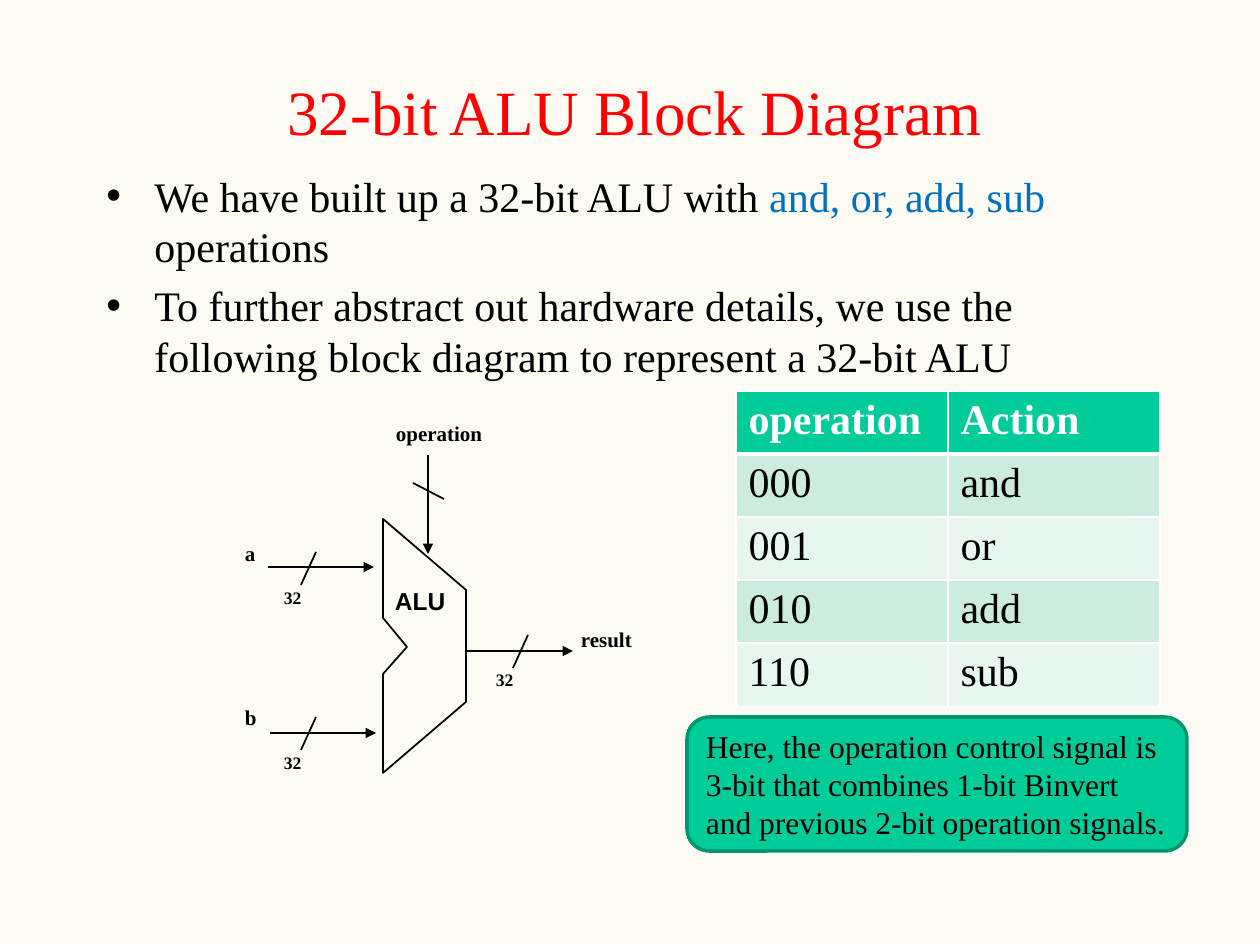
from lxml import etree
from pptx import Presentation
from pptx.dml.color import RGBColor
from pptx.enum.shapes import MSO_CONNECTOR, MSO_SHAPE
from pptx.enum.text import MSO_ANCHOR, PP_ALIGN
from pptx.oxml.ns import qn
from pptx.util import Pt

STRAIGHT = MSO_CONNECTOR.STRAIGHT
ROUNDED = MSO_SHAPE.ROUNDED_RECTANGLE
TOP, MIDDLE = MSO_ANCHOR.TOP, MSO_ANCHOR.MIDDLE
CENTER, LEFT = PP_ALIGN.CENTER, PP_ALIGN.LEFT
PX = 914400 / 126
SERIF, SANS = "Times New Roman", "Arial"
BLACK, WHITE, GREEN = "000000", "FFFFFF", "00CC99"
BANDS = ["CCECDE", "E7F6EF"]

TITLE = "32-bit ALU Block Diagram"
BULLETS = [
    [("We have built up a 32-bit ALU with ", BLACK), ("and, or, add, sub ", "0070C0"),
     ("operations", BLACK)],
    [("To further abstract out hardware details, we use the following block diagram "
      "to represent a 32-bit ALU", BLACK)],
]
NOTE = ("Here, the operation control signal is 3-bit that combines 1-bit Binvert "
        "and previous 2-bit operation signals.")
OPERATIONS = [("operation", "Action"), ("000", "and"), ("001", "or"),
              ("010", "add"), ("110", "sub")]
ALU_OUTLINE = [(383, 519), (383, 618), (407, 647), (383, 674),
               (383, 773), (466, 702), (466, 590)]
SIGNALS = [(270, 733, 376, 733), (467, 651, 573, 651),
           (428, 455, 428, 554), (268, 567, 374, 567)]
SLASHES = [(316, 552, 301, 585), (316, 717, 301, 750),
           (528, 635, 513, 668), (413, 483, 444, 499)]
WIDTH_FORMAT = {"size": 10, "leading": 12}
SIGNAL_FORMAT = {"size": 12, "leading": 18, "gap": 6}
LABELS = [
    ("32", (281, 583, 79, 40), WIDTH_FORMAT),
    ("32", (281, 748, 79, 40), WIDTH_FORMAT),
    ("32", (493, 665, 79, 40), WIDTH_FORMAT),
    ("operation", (393, 410, 159, 73), SIGNAL_FORMAT),
    ("result", (578, 616, 106, 73), SIGNAL_FORMAT),
    ("a", (242, 530, 68, 73), SIGNAL_FORMAT),
    ("b", (242, 694, 68, 73), SIGNAL_FORMAT),
    ("ALU", (392, 583, 96, 45), {"size": 14, "leading": 16, "face": SANS}),
]


def px(*lengths):
    return [round(length * PX) for length in lengths]


def color(value):
    return RGBColor.from_string(value)


def apply(target, values):
    for key, value in values.items():
        setattr(target, key, value)


def add_run(paragraph, words, size, ink=BLACK, bold=False, face=SERIF):
    run = paragraph.add_run()
    run.text = words
    apply(run.font, {"size": Pt(size), "bold": bold, "name": face})
    run.font.color.rgb = color(ink)


def add_frame(box, wrap=True, anchor=TOP):
    frame = slide.shapes.add_textbox(*px(*box)).text_frame
    apply(frame, {"word_wrap": wrap, "vertical_anchor": anchor})
    return frame


def add_bullet(paragraph):
    properties = paragraph._p.get_or_add_pPr()
    indent = px(48)[0]
    properties.set("marL", str(indent))
    properties.set("indent", str(-indent))
    etree.SubElement(properties, qn("a:buFont")).set("typeface", SANS)
    etree.SubElement(properties, qn("a:buChar")).set("char", "•")


def add_wire(ends, arrow):
    wire = slide.shapes.add_connector(STRAIGHT, *px(*ends))
    wire.line.width = Pt(1)
    wire.line.color.rgb = color(BLACK)
    if arrow:
        etree.SubElement(wire.line._ln, qn("a:tailEnd")).set("type", "triangle")
    etree.SubElement(wire._element.spPr, qn("a:effectLst"))


def add_label(words, box, size, leading, gap=0, face=SERIF):
    frame = add_frame(box, wrap=False)
    left, top = px(3, 4)
    apply(frame, {"margin_left": left, "margin_right": left,
                  "margin_top": top, "margin_bottom": top})
    paragraph = frame.paragraphs[0]
    apply(paragraph, {"line_spacing": Pt(leading), "space_before": Pt(gap),
                      "space_after": Pt(gap)})
    add_run(paragraph, words, size, bold=True, face=face)


def add_borders(cell, header, below_header):
    properties = cell._tc.get_or_add_tcPr()
    widths = {"a:lnL": 1, "a:lnR": 1, "a:lnT": 3 if below_header else 1,
              "a:lnB": 3 if header else 1}
    for position, (side, width) in enumerate(widths.items()):
        border = etree.Element(qn(side), w=str(Pt(width)))
        fill = etree.SubElement(border, qn("a:solidFill"))
        etree.SubElement(fill, qn("a:srgbClr")).set("val", WHITE)
        properties.insert(position, border)


def style_shape(shape, line, width):
    shape.shadow.inherit = False
    shape.line.color.rgb = color(line)
    shape.line.width = Pt(width)


deck = Presentation()
deck.slide_width, deck.slide_height = px(1260, 945)
slide = deck.slides.add_slide(deck.slide_layouts[6])
slide.background.fill.solid()
slide.background.fill.fore_color.rgb = color("FDFAF3")

title = add_frame((99, 62, 1071, 96), anchor=MIDDLE).paragraphs[0]
title.alignment = CENTER
add_run(title, TITLE, 36, "FF0000")

body = add_frame((94, 164, 1071, 655))
for index, parts in enumerate(BULLETS):
    bullet = body.add_paragraph() if index else body.paragraphs[0]
    bullet.space_before = Pt(5)
    add_bullet(bullet)
    for words, ink in parts:
        add_run(bullet, words, 24, ink)

outline = slide.shapes.build_freeform(*ALU_OUTLINE[0], scale=PX)
outline.add_line_segments(ALU_OUTLINE[1:], close=True)
alu = outline.convert_to_shape()
alu.fill.background()
style_shape(alu, BLACK, 1)

for ends in SIGNALS:
    add_wire(ends, arrow=True)
for ends in SLASHES:
    add_wire(ends, arrow=False)
for words, box, values in LABELS:
    add_label(words, box, **values)

note = slide.shapes.add_shape(ROUNDED, *px(687, 717, 500, 134))
note.fill.solid()
note.fill.fore_color.rgb = color(GREEN)
style_shape(note, "009771", 2)
apply(note.text_frame, {"word_wrap": True, "vertical_anchor": MIDDLE})
note.text_frame.paragraphs[0].alignment = LEFT
add_run(note.text_frame.paragraphs[0], NOTE, 18)

table = slide.shapes.add_table(len(OPERATIONS), 2, *px(736, 391, 424, 295)).table
for row, entries in enumerate(OPERATIONS):
    header = row == 0
    for column, words in enumerate(entries):
        cell = table.cell(row, column)
        cell.fill.solid()
        cell.fill.fore_color.rgb = color(GREEN if header else BANDS[(row - 1) % 2])
        add_borders(cell, header, row == 1)
        add_run(cell.text_frame.paragraphs[0], words, 24,
                WHITE if header else BLACK, header)

deck.save("out.pptx")
